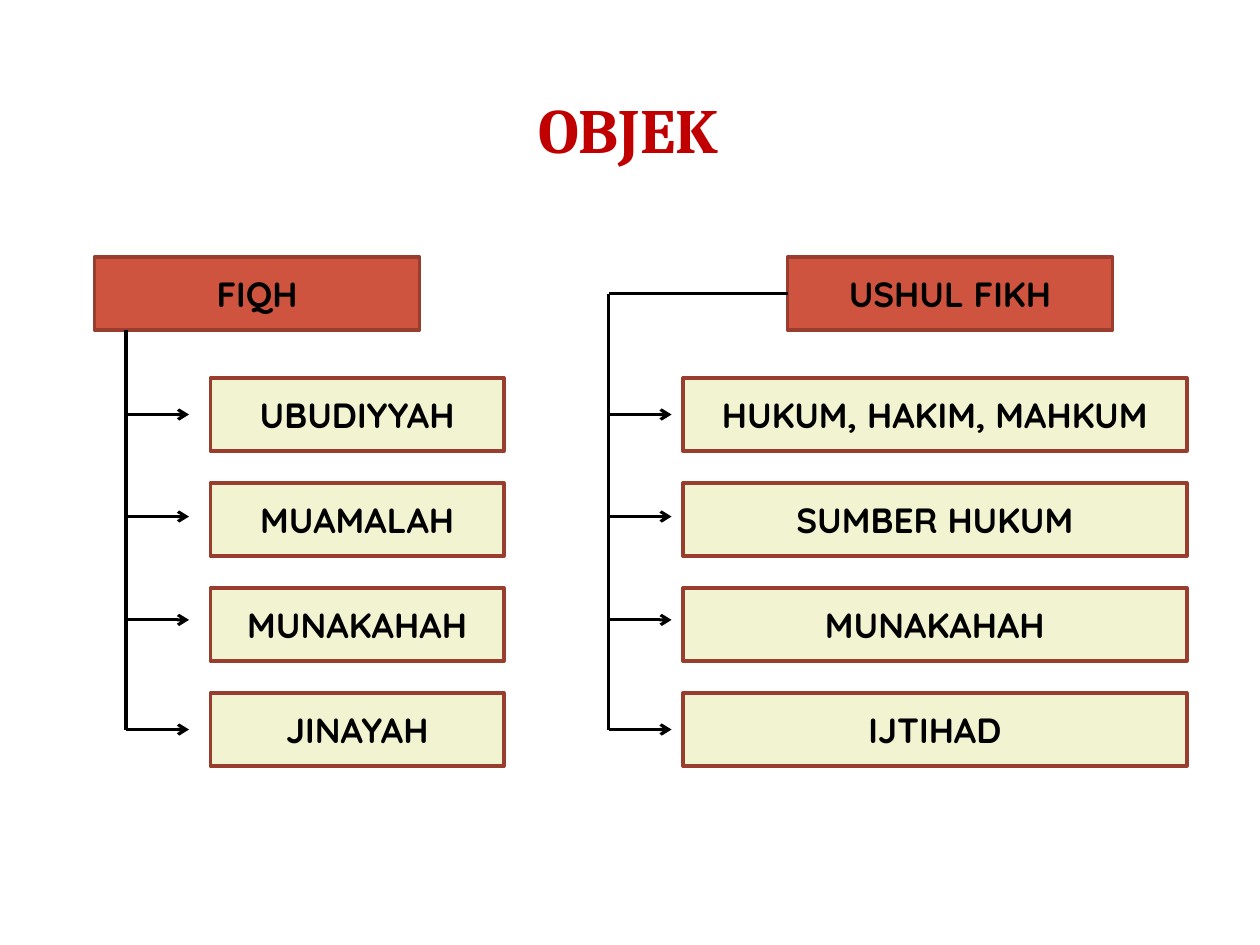
from lxml.etree import SubElement
from pptx import Presentation
from pptx.dml.color import RGBColor
from pptx.enum.shapes import MSO_CONNECTOR, MSO_SHAPE
from pptx.enum.text import MSO_ANCHOR, PP_ALIGN
from pptx.oxml.ns import qn
from pptx.util import Inches, Pt

COLORS = {
    "title": "C00000",
    "header": "CF543F",
    "item": "F2F3D0",
    "border": "993E2F",
    "ink": "000000",
}
BOX_HEIGHT = 0.58
ITEM_TOP = 3
ITEM_STEP = 2.5 / 3
ARROW_LENGTH = 0.5
ARROW_YS = [3.29, 4.1, 4.92, 5.79]

BRANCHES = [
    {
        "header": "FIQH",
        "header_left": 0.75,
        "items": ["UBUDIYYAH", "MUAMALAH", "MUNAKAHAH", "JINAYAH"],
        "item_left": 1.67,
        "item_width": 2.33,
        "trunk": [(1, 2.62), (1, 5.79)],
    },
    {
        "header": "USHUL FIKH",
        "header_left": 6.25,
        "items": ["HUKUM, HAKIM, MAHKUM", "SUMBER HUKUM", "MUNAKAHAH", "IJTIHAD"],
        "item_left": 5.42,
        "item_width": 4,
        "trunk": [(6.25, 2.33), (4.83, 2.33), (4.83, 5.79)],
    },
]

prs = Presentation()
prs.slide_width, prs.slide_height = Inches(10), Inches(7.5)
s = prs.slides.add_slide(prs.slide_layouts[5])


def add_box(text, left, top, width, fill):
    sp = s.shapes.add_shape(MSO_SHAPE.RECTANGLE, Inches(left), Inches(top),
                            Inches(width), Inches(BOX_HEIGHT))
    sp.shadow.inherit = False
    sp.fill.solid()
    sp.fill.fore_color.rgb = RGBColor.from_string(COLORS[fill])
    sp.line.color.rgb = RGBColor.from_string(COLORS["border"])
    sp.line.width = Pt(2)
    tf = sp.text_frame
    tf.word_wrap = True
    tf.vertical_anchor = MSO_ANCHOR.MIDDLE
    p = tf.paragraphs[0]
    p.text = text
    p.alignment = PP_ALIGN.CENTER
    p.font.name = "Quicksand"
    p.font.size = Pt(20)
    p.font.bold = True
    p.font.color.rgb = RGBColor.from_string(COLORS["ink"])


def add_line(start, end, arrow=False):
    line = s.shapes.add_connector(MSO_CONNECTOR.STRAIGHT,
                                  *(Inches(v) for v in (*start, *end)))
    line.line.color.rgb = RGBColor.from_string(COLORS["ink"])
    line.line.width = Pt(1.75)
    if arrow:
        SubElement(line.line._get_or_add_ln(), qn("a:tailEnd"), type="arrow")
    SubElement(line._element.spPr, qn("a:effectLst"))


title = s.shapes.title
title.left, title.top = Inches(0.47), Inches(0.45)
title.width, title.height = Inches(9.03), Inches(1.14)
title.text_frame.vertical_anchor = MSO_ANCHOR.MIDDLE
p = title.text_frame.paragraphs[0]
p.text = "OBJEK"
p.alignment = PP_ALIGN.CENTER
p.font.name = "Cambria"
p.font.size = Pt(36)
p.font.bold = True
p.font.color.rgb = RGBColor.from_string(COLORS["title"])

for branch in BRANCHES:
    add_box(branch["header"], branch["header_left"], 2.04, 2.58, "header")
    for i, item in enumerate(branch["items"]):
        add_box(item, branch["item_left"], ITEM_TOP + i * ITEM_STEP,
                branch["item_width"], "item")
    trunk = branch["trunk"]
    for start, end in zip(trunk, trunk[1:]):
        add_line(start, end)
    trunk_x = trunk[-1][0]
    for y in ARROW_YS:
        add_line((trunk_x, y), (trunk_x + ARROW_LENGTH, y), arrow=True)

prs.save("out.pptx")
